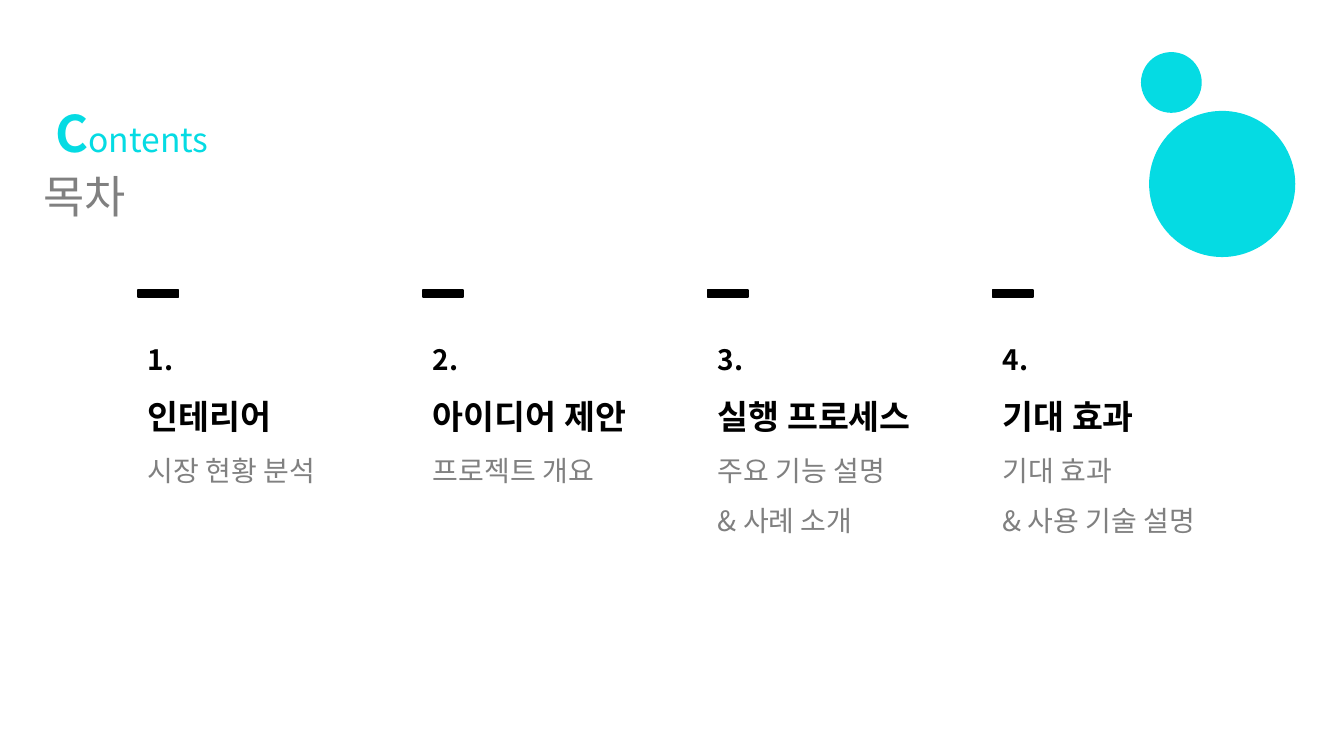
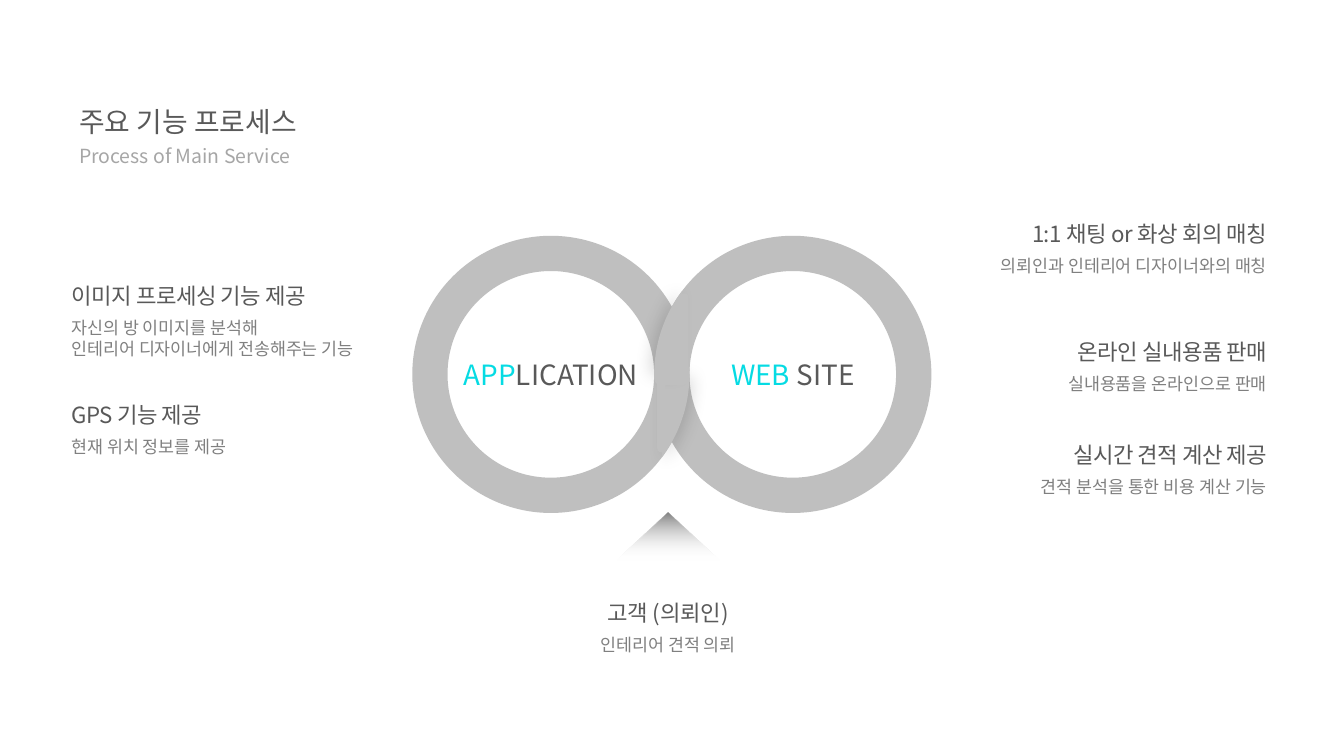
from dataclasses import dataclass
from math import acos, cos, sin

from lxml.etree import SubElement
from pptx import Presentation
from pptx.dml.color import RGBColor
from pptx.enum.shapes import MSO_SHAPE
from pptx.enum.text import MSO_ANCHOR, MSO_AUTO_SIZE, PP_ALIGN
from pptx.oxml.ns import qn
from pptx.shapes.autoshape import Shape
from pptx.slide import Slide
from pptx.text.text import TextFrame
from pptx.util import Pt

FONT = "Noto Sans CJK KR"
CYAN = RGBColor(0x05, 0xDB, 0xE3)
BLACK = RGBColor(0, 0, 0)
WHITE = RGBColor(0xFF, 0xFF, 0xFF)
DARK = RGBColor(0x59, 0x59, 0x59)
GRAY = RGBColor(0x80, 0x80, 0x80)
PALE = RGBColor(0xA6, 0xA6, 0xA6)
RING_GRAY = RGBColor(0xBF, 0xBF, 0xBF)

HEADER_WIDTH = 847.4
COLUMN_LEFT, COLUMN_PITCH, COLUMN_WIDTH = 98.6, 203.5, 170.6
RING_SIZE, RING_BAND, RING_TOP = 198, 25.2, 168.4
LEFT_RING = 294.5
RIGHT_RING = LEFT_RING + RING_SIZE - RING_BAND
RING_MIDDLE = RING_TOP + RING_SIZE / 2
FEATURE_WIDTH, DETAIL_OFFSET = 226, 24.9


@dataclass(frozen=True)
class Box:
    left: float
    top: float
    width: float
    height: float

    def emu(self) -> tuple[int, int, int, int]:
        return Pt(self.left), Pt(self.top), Pt(self.width), Pt(self.height)


@dataclass(frozen=True)
class Span:
    text: str
    size: float
    color: RGBColor
    bold: bool = False
    spacing: float = 0


@dataclass(frozen=True)
class Chapter:
    name: str
    topics: tuple[str, ...]


@dataclass(frozen=True)
class Feature:
    left: float
    top: float
    align: PP_ALIGN
    heading: str
    details: tuple[str, ...]


CHAPTERS = (
    Chapter("인테리어", ("시장 현황 분석",)),
    Chapter("아이디어 제안", ("프로젝트 개요",)),
    Chapter("실행 프로세스", ("주요 기능 설명", "& 사례 소개")),
    Chapter("기대 효과", ("기대 효과", "& 사용 기술 설명")),
)

FEATURES = (
    Feature(51.1, 201.6, PP_ALIGN.LEFT, "이미지 프로세싱 기능 제공",
            ("자신의 방 이미지를 분석해", "인테리어 디자이너에게 전송해주는 기능")),
    Feature(51.1, 286.6, PP_ALIGN.LEFT, "GPS 기능 제공", ("현재 위치 정보를 제공",)),
    Feature(679, 157, PP_ALIGN.RIGHT, "1:1 채팅 or 화상 회의 매칭",
            ("의뢰인과 인테리어 디자이너와의 매칭",)),
    Feature(679, 241.9, PP_ALIGN.RIGHT, "온라인 실내용품 판매",
            ("실내용품을 온라인으로 판매",)),
    Feature(679, 315.4, PP_ALIGN.RIGHT, "실시간 견적 계산 제공",
            ("견적 분석을 통한 비용 계산 기능",)),
    Feature(364.3, 428.4, PP_ALIGN.CENTER, "고객 (의뢰인)", ("인테리어 견적 의뢰",)),
)


def write(frame: TextFrame, lines: list[list[Span]], align: PP_ALIGN = PP_ALIGN.LEFT,
          line_spacing: float = 1.0, space_before: float = 0) -> None:
    """Fill the frame with one paragraph for each line of spans."""
    frame.word_wrap = True
    frame.auto_size = MSO_AUTO_SIZE.SHAPE_TO_FIT_TEXT
    frame.vertical_anchor = MSO_ANCHOR.TOP
    for index, spans in enumerate(lines):
        paragraph = frame.add_paragraph() if index else frame.paragraphs[0]
        paragraph.alignment = align
        paragraph.line_spacing = line_spacing
        paragraph.space_before = Pt(space_before)
        for span in spans:
            run = paragraph.add_run()
            run.text = span.text
            run.font.name = FONT
            run.font.size = Pt(span.size)
            run.font.bold = span.bold
            run.font.color.rgb = span.color
            properties = run._r.get_or_add_rPr()
            SubElement(properties, qn("a:ea"), typeface=FONT)
            if span.spacing:
                properties.set("spc", str(round(span.spacing * 100)))


def remove_insets(frame: TextFrame) -> None:
    frame.margin_left = frame.margin_top = frame.margin_right = frame.margin_bottom = 0


def add_text(slide: Slide, box: Box, lines: list[list[Span]],
             align: PP_ALIGN = PP_ALIGN.LEFT) -> None:
    frame = slide.shapes.add_textbox(*box.emu()).text_frame
    remove_insets(frame)
    write(frame, lines, align)


def paint(shape: Shape, color: RGBColor) -> None:
    shape.shadow.inherit = False
    shape.fill.solid()
    shape.fill.fore_color.rgb = color
    shape.line.fill.background()


def add_figure(slide: Slide, kind: MSO_SHAPE, box: Box, color: RGBColor,
               adjustments: tuple[float, ...] = (), rotation: float = 0) -> Shape:
    figure = slide.shapes.add_shape(kind, *box.emu())
    for index, value in enumerate(adjustments):
        figure.adjustments[index] = value
    figure.rotation = rotation
    paint(figure, color)
    return figure


def add_header(slide: Slide, title_box: Box, title: list[Span],
               subtitle_box: Box, subtitle: list[Span]) -> None:
    headings = ((slide.shapes.title, title_box, title),
                (slide.placeholders[1], subtitle_box, subtitle))
    for holder, box, spans in headings:
        holder.left, holder.top, holder.width, holder.height = box.emu()
        remove_insets(holder.text_frame)
        write(holder.text_frame, [spans], line_spacing=0.9, space_before=10)
        properties = holder.text_frame.paragraphs[0]._p.get_or_add_pPr()
        properties.set("marL", "0")
        properties.set("indent", "0")
        SubElement(properties, qn("a:buNone"))


def add_chapter(slide: Slide, index: int, chapter: Chapter) -> None:
    left = COLUMN_LEFT + index * COLUMN_PITCH
    bar = add_figure(slide, MSO_SHAPE.RECTANGLE, Box(left, 207.2, 28.8, 5), BLACK)
    bar.line.color.rgb = BLACK
    bar.line.width = Pt(1)
    lines = [[Span(f"{index + 1}.", 20, BLACK, True)], [Span(chapter.name, 24, BLACK, True)]]
    lines += [[Span(topic, 20, GRAY)] for topic in chapter.topics]
    height = 88 + 36 * len(chapter.topics)
    column = slide.shapes.add_textbox(*Box(left, 229, COLUMN_WIDTH, height).emu())
    write(column.text_frame, lines, line_spacing=1.5)


def build_contents(slide: Slide) -> None:
    add_header(slide, Box(39.6, 77.8, HEADER_WIDTH, 39.6),
               [Span("C", 36, CYAN, True), Span("ontents", 24, CYAN)],
               Box(31, 124.6, HEADER_WIDTH, 35.3), [Span("목차", 32, GRAY)])
    for index, chapter in enumerate(CHAPTERS):
        add_chapter(slide, index, chapter)
    for left, top, size in ((815, 37.2, 43.4), (820.8, 79.2, 104.4)):
        add_figure(slide, MSO_SHAPE.OVAL, Box(left, top, size, size), CYAN)


def add_shaded_sector(slide: Slide, ring_left: float, side: int, direction: int) -> None:
    """Add the ring's edge where it casts a shadow; side 1 is lower right, -1 upper left."""
    radius = RING_SIZE / 2
    center = ring_left + radius
    inset = 0.8
    widest = acos(inset)
    steps = 24
    arc = [(Pt(center + side * radius * cos(widest * step / steps)),
            Pt(RING_MIDDLE + side * radius * sin(widest * step / steps)))
           for step in range(steps + 1)]
    builder = slide.shapes.build_freeform(Pt(center + side * radius * inset), Pt(RING_MIDDLE))
    builder.add_line_segments(arc, close=True)
    sector = builder.convert_to_shape()
    paint(sector, RING_GRAY)
    effects = sector.element.spPr.find(qn("a:effectLst"))
    shadow = SubElement(effects, qn("a:outerShdw"), blurRad=str(Pt(12)), dist=str(Pt(3)),
                        dir=str(direction * 60000), algn="ctr", rotWithShape="0")
    tone = SubElement(shadow, qn("a:srgbClr"), val=str(BLACK))
    SubElement(tone, qn("a:alpha"), val="15000")


def add_linked_rings(slide: Slide) -> None:
    for left in (RIGHT_RING, LEFT_RING):
        add_figure(slide, MSO_SHAPE.DONUT, Box(left, RING_TOP, RING_SIZE, RING_SIZE),
                   RING_GRAY, (RING_BAND / RING_SIZE,))
    add_shaded_sector(slide, LEFT_RING, 1, 45)
    add_shaded_sector(slide, RIGHT_RING, -1, 180)
    for left, top, rotation in ((486, 209.5, 0), (469.4, 264.2, 180)):
        add_figure(slide, MSO_SHAPE.ROUND_2_SAME_RECTANGLE, Box(left, top, 5.8, 59),
                   RING_GRAY, (0.5, 0), rotation)
    add_figure(slide, MSO_SHAPE.ROUNDED_RECTANGLE,
               Box(RIGHT_RING, 260, RING_BAND, 15.1), RING_GRAY, (0.3,))
    labels = ((LEFT_RING, "APP", "LICATION"), (RIGHT_RING, "WEB", " SITE"))
    for left, accent, rest in labels:
        box = Box(left + RING_BAND, 255.6, RING_SIZE - 2 * RING_BAND, 24.5)
        add_text(slide, box, [[Span(accent, 19.9, CYAN), Span(rest, 19.9, DARK)]],
                 PP_ALIGN.CENTER)


def add_fading_pointer(slide: Slide) -> None:
    pointer = add_figure(slide, MSO_SHAPE.ISOSCELES_TRIANGLE,
                         Box(417.6, 366.5, 119.5, 54.7), GRAY)
    pointer.fill.gradient()
    pointer.fill.gradient_angle = 270
    start, end = pointer.fill.gradient_stops
    start.color.rgb, start.position = GRAY, 0
    end.color.rgb, end.position = WHITE, 0.62
    end_color = pointer.element.spPr.findall(".//" + qn("a:srgbClr"))[-1]
    SubElement(end_color, qn("a:alpha"), val="0")


def add_feature(slide: Slide, feature: Feature) -> None:
    add_text(slide, Box(feature.left, feature.top, FEATURE_WIDTH, 19.4),
             [[Span(feature.heading, 15.9, DARK, spacing=-0.4)]], feature.align)
    add_text(slide, Box(feature.left, feature.top + DETAIL_OFFSET, FEATURE_WIDTH,
                        15.1 * len(feature.details)),
             [[Span(detail, 12.4, GRAY)] for detail in feature.details], feature.align)


def build_process(slide: Slide) -> None:
    add_header(slide, Box(56.5, 77.8, HEADER_WIDTH, 21.6),
               [Span("주요 기능 프로세스", 19.9, DARK)],
               Box(56.5, 105.1, HEADER_WIDTH, 15.1),
               [Span("Process of Main Service", 13.9, PALE)])
    add_linked_rings(slide)
    add_fading_pointer(slide)
    for feature in FEATURES:
        add_feature(slide, feature)


def main() -> None:
    deck = Presentation()
    deck.slide_width, deck.slide_height = Pt(960), Pt(540)
    layout = deck.slide_layouts[1]
    for build in (build_contents, build_process):
        build(deck.slides.add_slide(layout))
    deck.save("out.pptx")


if __name__ == "__main__":
    main()
